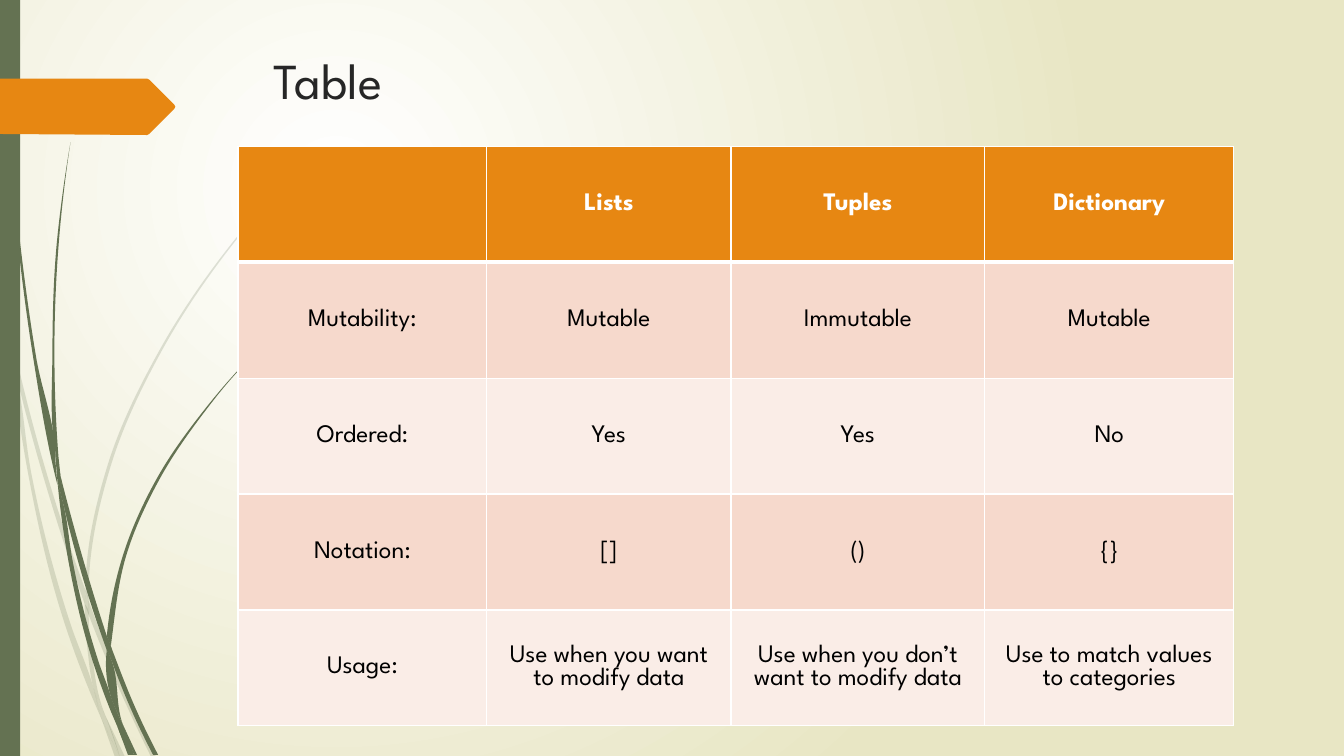
from dataclasses import dataclass
from math import dist

from pptx import Presentation
from pptx.dml.color import RGBColor
from pptx.enum.shapes import MSO_SHAPE as Preset
from pptx.enum.text import MSO_ANCHOR as Anchor, PP_ALIGN as Align
from pptx.oxml import parse_xml
from pptx.oxml.ns import nsdecls, qn
from pptx.util import Cm, Pt


@dataclass(frozen=True)
class Theme:
    font: str = "League Spartan"
    title_size: int = 36
    cell_size: int = 18
    ink: str = "262626"
    body: str = "000000"
    white: str = "FFFFFF"
    sand: str = "E8E6C4"
    moss: str = "647252"
    orange: str = "E78712"
    bands: tuple = ("F6D9CC", "FAEDE7")


THEME = Theme()

# Content
HEADING = "Table"
COMPARISON = [
    ("", "Lists", "Tuples", "Dictionary"),
    ("Mutability:", "Mutable", "Immutable", "Mutable"),
    ("Ordered:", "Yes", "Yes", "No"),
    ("Notation:", "[]", "()", "{}"),
    ("Usage:", "Use when you want to modify data",
     "Use when you don’t want to modify data",
     "Use to match values to categories"),
]
COLUMN_WIDTHS = (6.27, 6.15, 6.4, 6.27)
ROW_HEIGHT = 2.92

# Grass blades: the two edges of each piece, in hundredths of an inch
PALE_BLADES = [
    ([(0, 282), (9, 322), (11, 350)], [(10, 344), (0, 299)]),
    ([(14, 345), (62, 520), (85, 586)], [(84, 599), (58, 522), (17, 376)]),
    ([(88, 596), (92, 607), (127, 692), (155, 751)], [(150, 751), (123, 694), (88, 610)]),
    ([(105, 711), (124, 751)], [(119, 751), (105, 711)]),
    ([(11, 350), (17, 376), (31, 469), (70, 619), (93, 683), (99, 707), (101, 714)],
     [(92, 693), (65, 621), (28, 470), (11, 350)]),
    ([(84, 599), (88, 608), (88, 610), (91, 646), (103, 706), (105, 711)],
     [(96, 692), (93, 683), (87, 646), (84, 599)]),
    ([(312, 153), (289, 175), (268, 197), (228, 244), (158, 348), (107, 461), (85, 584), (85, 586)],
     [(88, 596), (88, 584), (110, 462), (160, 349), (229, 245), (268, 198), (290, 175), (312, 154)]),
    ([(101, 714), (119, 751)], [(114, 751), (101, 714)]),
    ([(85, 586), (88, 596), (88, 610)], [(84, 599), (85, 586)]),
    ([(93, 683), (96, 692), (105, 711), (119, 751)], [(101, 714), (99, 707), (93, 683)]),
]
DEEP_BLADES = [
    ([(3, 0), (4, 48), (7, 110), (17, 233), (33, 355), (56, 477), (57, 481)],
     [(55, 457), (55, 453), (36, 355), (19, 232), (8, 109), (5, 48), (4, 0)]),
    ([(60, 472), (93, 590), (106, 631)], [(106, 645), (88, 592), (64, 505)]),
    ([(110, 641), (113, 649), (136, 706), (157, 749)], [(152, 749), (132, 708), (111, 656)]),
    ([(57, 477), (64, 505), (72, 556), (98, 657), (110, 691), (116, 717), (117, 722)],
     [(111, 708), (93, 659), (68, 557), (57, 477)]),
    ([(70, 141), (62, 193), (56, 245), (52, 349), (55, 449), (60, 472)],
     [(58, 453), (54, 349), (58, 245), (63, 193), (70, 141)]),
    ([(122, 719), (136, 749)], [(133, 749), (122, 719)]),
    ([(55, 449), (60, 472), (64, 505)], [(57, 477), (55, 453)]),
    ([(261, 344), (245, 358), (231, 373), (204, 405), (156, 474), (122, 551), (106, 631)],
     [(110, 641), (111, 633), (125, 552), (158, 476), (205, 406), (231, 374), (245, 359), (261, 344)]),
    ([(117, 722), (131, 749)], [(127, 749), (117, 722)]),
    ([(106, 645), (109, 651), (111, 656), (121, 716), (122, 719)],
     [(116, 706), (110, 691), (106, 645)]),
    ([(106, 631), (110, 641), (111, 656)], [(106, 645), (106, 631)]),
    ([(110, 691), (116, 706), (122, 719), (133, 749)], [(130, 749), (117, 722), (110, 691)]),
]
POINTER = [(0, 78), (146, 78), (148, 79), (173, 104), (174, 106),
           (173, 108), (148, 133), (146, 134), (0, 133)]

deck = Presentation()
deck.slide_width, deck.slide_height = Cm(33.87), Cm(19.05)
slide = deck.slides.add_slide(deck.slide_layouts[5])


def rgb(code):
    return RGBColor.from_string(code)


def paint(shape, color, alpha=None):
    shape.shadow.inherit = False
    shape.line.fill.background()
    shape.fill.solid()
    shape.fill.fore_color.rgb = rgb(color)
    if alpha is not None:
        tint = shape._element.spPr.find(qn("a:solidFill") + "/" + qn("a:srgbClr"))
        tint.append(parse_xml(f'<a:alpha {nsdecls("a")} val="{alpha * 1000}"/>'))


def outline(points):
    places = [(Cm(x * 0.0254), Cm(y * 0.0254)) for x, y in points]
    builder = slide.shapes.build_freeform(*places[0])
    builder.add_line_segments(places[1:], close=True)
    return builder.convert_to_shape()


def handles(edge):
    """Two Bezier handles for each span, from a parabola through its neighbours."""
    reach = [dist(p, q) for p, q in zip(edge, edge[1:])]
    chords = [[(q[k] - p[k]) / h for k in (0, 1)] for p, q, h in zip(edge, edge[1:], reach)]
    inner = [[(c[k] * j + d[k] * h) / (h + j) for k in (0, 1)]
             for c, d, h, j in zip(chords, chords[1:], reach, reach[1:])]
    if inner:
        first = [2 * c - m for c, m in zip(chords[0], inner[0])]
        last = [2 * c - m for c, m in zip(chords[-1], inner[-1])]
    else:
        first = last = chords[0]
    slopes = [first, *inner, last]
    return [([p[k] + h / 3 * m[k] for k in (0, 1)], [q[k] - h / 3 * n[k] for k in (0, 1)])
            for p, q, h, m, n in zip(edge, edge[1:], reach, slopes, slopes[1:])]


def blade(near, far, color, alpha):
    shape = outline(near + far)
    bends = handles(near) + [None] + handles(far)
    for span, bend in zip(list(shape._element.iter(qn("a:lnTo"))), bends):
        if bend is None:
            continue
        curve = parse_xml(f'<a:cubicBezTo {nsdecls("a")}/>')
        for x, y in bend:
            left, top = Cm(x * 0.0254) - shape.left, Cm(y * 0.0254) - shape.top
            curve.append(parse_xml(f'<a:pt {nsdecls("a")} x="{left}" y="{top}"/>'))
        curve.append(span[0])
        span.getparent().replace(span, curve)
    paint(shape, color, alpha)


def write(frame, text, size, color, align, bold=False):
    paragraph = frame.paragraphs[0]
    paragraph.alignment = align
    run = paragraph.add_run()
    run.text = text
    run.font.name, run.font.size, run.font.bold = THEME.font, Pt(size), bold
    run.font.color.rgb = rgb(color)


# Background glow
glow = slide.background.fill
glow.gradient()
for stop, color in zip(glow.gradient_stops, (THEME.white, THEME.sand)):
    stop.color.rgb = rgb(color)
gradient = slide._element.find(".//" + qn("a:gradFill"))
gradient.replace(gradient.find(qn("a:lin")), parse_xml(
    f'<a:path {nsdecls("a")} path="circle">'
    '<a:fillToRect l="50000" t="50000" r="100000" b="100000"/></a:path>'))

# Grass, side bar and pointer
for blades, alpha in ((PALE_BLADES, 20), (DEEP_BLADES, None)):
    for near, far in blades:
        blade(near, far, THEME.moss, alpha)
side_bar = slide.shapes.add_shape(Preset.RECTANGLE, 0, 0, Cm(0.51), deck.slide_height)
paint(side_bar, THEME.moss)
paint(outline(POINTER), THEME.orange)

# Title
title = slide.shapes.title
title.left, title.top, title.width, title.height = Cm(6.65), Cm(1.14), Cm(24.77), Cm(1.96)
title.text_frame.vertical_anchor = Anchor.MIDDLE
title.text_frame.margin_bottom = Cm(0.36)
write(title.text_frame, HEADING, THEME.title_size, THEME.ink, Align.LEFT)

# Comparison table
comparison = slide.shapes.add_table(
    len(COMPARISON), len(COLUMN_WIDTHS), Cm(6), Cm(3.69),
    Cm(sum(COLUMN_WIDTHS)), Cm(ROW_HEIGHT * len(COMPARISON))).table
for column, width in zip(comparison.columns, COLUMN_WIDTHS):
    column.width = Cm(width)
for r, entries in enumerate(COMPARISON):
    comparison.rows[r].height = Cm(ROW_HEIGHT)
    header = r == 0
    for c, entry in enumerate(entries):
        cell = comparison.cell(r, c)
        cell.vertical_anchor = Anchor.MIDDLE
        cell.fill.solid()
        cell.fill.fore_color.rgb = rgb(THEME.orange if header else THEME.bands[(r - 1) % 2])
        if entry:
            write(cell.text_frame, entry, THEME.cell_size,
                  THEME.white if header else THEME.body, Align.CENTER, header)
        borders = {"L": 1, "R": 1, "T": 3 if r == 1 else 1, "B": 3 if header else 1}
        for place, (side, weight) in enumerate(borders.items()):
            cell._tc.get_or_add_tcPr().insert(place, parse_xml(
                f'<a:ln{side} {nsdecls("a")} w="{Pt(weight)}"><a:solidFill>'
                f'<a:srgbClr val="{THEME.white}"/></a:solidFill></a:ln{side}>'))

deck.save("out.pptx")
